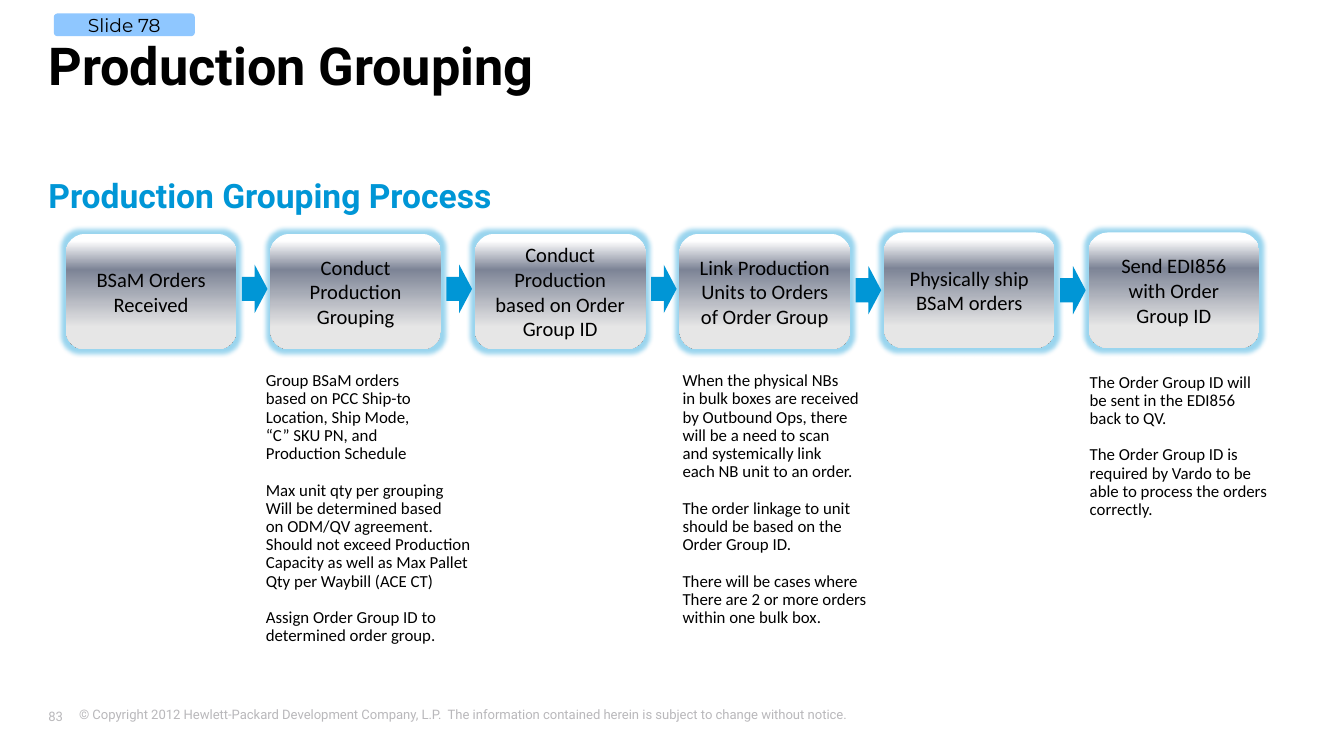
from dataclasses import dataclass

from lxml.etree import SubElement
from pptx import Presentation
from pptx.dml.color import RGBColor
from pptx.enum.shapes import MSO_SHAPE
from pptx.enum.text import MSO_ANCHOR, MSO_AUTO_SIZE, PP_ALIGN
from pptx.oxml.ns import qn
from pptx.shapes.autoshape import Shape
from pptx.slide import Slide
from pptx.util import Inches, Pt

BLACK = RGBColor(0x00, 0x00, 0x00)
BLUE = RGBColor(0x00, 0x96, 0xD6)
TAG_BLUE = RGBColor(0x33, 0x99, 0xFF)
FOOTER_GRAY = RGBColor(0xB9, 0xB8, 0xBB)
WHITE = RGBColor(0xFF, 0xFF, 0xFF)
STEEL = RGBColor(0x7D, 0x84, 0x96)
LIGHT_GRAY = RGBColor(0xE6, 0xE6, 0xE6)
STEP_GRADIENT = [(6, WHITE), (31, STEEL), (81, LIGHT_GRAY), (100, LIGHT_GRAY)]

FIRST_STEP_LEFT, LAST_STEP_LEFT = 0.49, 8.1
STEP_WIDTH, STEP_HEIGHT = 1.27, 0.86
ARROW_OFFSET = 1.31


@dataclass
class Label:
    text: str
    left: float
    top: float
    width: float
    height: float
    size: float
    color: RGBColor
    bold: bool = False
    margins: tuple[float, float] = (0, 0)  # horizontal, vertical


@dataclass
class Step:
    text: str
    top: float
    arrow_top: float | None = None


@dataclass
class Note:
    left: float
    top: float
    width: float
    height: float
    groups: list[list[str]]


LABELS = [
    Label("© Copyright 2012 Hewlett-Packard Development Company, L.P.  The information "
          "contained herein is subject to change without notice.",
          0.49, 5.21, 8.76, 0.25, 7, FOOTER_GRAY, margins=(0.1, 0.05)),
    Label("83", 0.36, 5.27, 0.35, 0.16, 7, FOOTER_GRAY),
    Label("Production Grouping", 0.36, 0.25, 8.88, 0.47, 28, BLACK, True),
    Label("Production Grouping Process", 0.36, 1.3, 8.88, 3.53, 18, BLUE, True),
]

STEPS = [
    Step("BSaM Orders Received", 1.74, 1.97),
    Step("Conduct Production Grouping", 1.74, 1.97),
    Step("Conduct Production based on Order Group ID", 1.74, 1.97),
    Step("Link Production Units to Orders of Order Group", 1.74, 1.97),
    Step("Physically ship BSaM orders", 1.73, 1.98),
    Step("Send EDI856 with Order Group ID", 1.73),
]
STEPS[3].arrow_top = STEPS[4].arrow_top

NOTES = [
    Note(1.88, 2.72, 1.77, 2.15, [
        ["Group BSaM orders", "based on PCC Ship-to", "Location, Ship Mode,",
         "“C” SKU PN, and", "Production Schedule"],
        ["Max unit qty per grouping", "Will be determined based",
         "on ODM/QV agreement.", "Should not exceed Production",
         "Capacity as well as Max Pallet", "Qty per Waybill (ACE CT)"],
        ["Assign Order Group ID to", "determined order group."],
    ]),
    Note(8.01, 2.73, 1.54, 1.19, [
        ["The Order Group ID will", "be sent in the EDI856", "back to QV."],
        ["The Order Group ID is", "required by Vardo to be",
         "able to process the orders", "correctly."],
    ]),
    Note(4.98, 2.72, 1.59, 2.15, [
        ["When the physical NBs", "in bulk boxes are received",
         "by Outbound Ops, there", "will be a need to scan",
         "and systemically link", "each NB unit to an order."],
        ["The order linkage to unit", "should be based on the", "Order Group ID."],
        ["There will be cases where", "There are 2 or more orders",
         "within one bulk box."],
    ]),
]


def add_label(slide: Slide, label: Label) -> None:
    box = slide.shapes.add_textbox(Inches(label.left), Inches(label.top),
                                   Inches(label.width), Inches(label.height))
    frame = box.text_frame
    frame.word_wrap = True
    horizontal, vertical = label.margins
    frame.margin_left = frame.margin_right = Inches(horizontal)
    frame.margin_top = frame.margin_bottom = Inches(vertical)
    paragraph = frame.paragraphs[0]
    paragraph.text = label.text
    paragraph.font.name = "Roboto"
    paragraph.font.size = Pt(label.size)
    paragraph.font.bold = label.bold
    paragraph.font.color.rgb = label.color


def add_block(slide: Slide, kind: MSO_SHAPE, left: float, top: float,
              width: float, height: float) -> Shape:
    shape = slide.shapes.add_shape(kind, Inches(left), Inches(top),
                                   Inches(width), Inches(height))
    shape.shadow.inherit = False
    shape.line.fill.background()
    return shape


def set_solid_fill(shape: Shape, color: RGBColor) -> None:
    shape.fill.solid()
    shape.fill.fore_color.rgb = color


def write_centered(shape: Shape, text: str, font_name: str, size: float) -> None:
    frame = shape.text_frame
    frame.word_wrap = True
    frame.vertical_anchor = MSO_ANCHOR.MIDDLE
    paragraph = frame.paragraphs[0]
    paragraph.text = text
    paragraph.alignment = PP_ALIGN.CENTER
    paragraph.font.name = font_name
    paragraph.font.size = Pt(size)
    paragraph.font.color.rgb = BLACK


def set_step_gradient(shape: Shape) -> None:
    shape.fill.gradient()
    shape.fill.gradient_angle = 270
    stops = shape._element.spPr.find(qn("a:gradFill")).find(qn("a:gsLst"))
    for stop in list(stops):
        stops.remove(stop)
    for percent, color in STEP_GRADIENT:
        stop = SubElement(stops, qn("a:gs"), pos=str(percent * 1000))
        SubElement(stop, qn("a:srgbClr"), val=str(color))


def add_glow(shape: Shape) -> None:
    effects = shape._element.spPr.find(qn("a:effectLst"))
    glow = SubElement(effects, qn("a:glow"), rad=str(Pt(5)))
    color = SubElement(glow, qn("a:srgbClr"), val=str(BLUE))
    SubElement(color, qn("a:alpha"), val="40000")


def add_step(slide: Slide, step: Step, left: float) -> None:
    box = add_block(slide, MSO_SHAPE.ROUNDED_RECTANGLE, left, step.top,
                    STEP_WIDTH, STEP_HEIGHT)
    set_step_gradient(box)
    add_glow(box)
    write_centered(box, step.text, "Calibri", 11)
    if step.arrow_top is not None:
        arrow = add_block(slide, MSO_SHAPE.RIGHT_ARROW, left + ARROW_OFFSET,
                          step.arrow_top, 0.19, 0.36)
        set_solid_fill(arrow, BLUE)


def add_note(slide: Slide, note: Note) -> None:
    box = slide.shapes.add_textbox(Inches(note.left), Inches(note.top),
                                   Inches(note.width), Inches(note.height))
    frame = box.text_frame
    frame.word_wrap = False
    frame.auto_size = MSO_AUTO_SIZE.SHAPE_TO_FIT_TEXT
    lines = [(line, group) for group in note.groups for line in group]
    for index, (line, group) in enumerate(lines):
        paragraph = frame.add_paragraph() if index else frame.paragraphs[0]
        paragraph.text = line
        paragraph.line_spacing = 0.9
        if line == group[-1] and group is not note.groups[-1]:
            paragraph.space_after = Pt(9.8)
        paragraph.font.name = "Calibri"
        paragraph.font.size = Pt(9)
        paragraph.font.color.rgb = BLACK


def add_slide_tag(slide: Slide) -> None:
    tag = add_block(slide, MSO_SHAPE.ROUNDED_RECTANGLE, 0.4, 0.1, 1.05, 0.17)
    set_solid_fill(tag, TAG_BLUE)
    color = tag._element.spPr.find(qn("a:solidFill")).find(qn("a:srgbClr"))
    SubElement(color, qn("a:alpha"), val="55000")
    write_centered(tag, "Slide 78", "Montserrat", 10)


def main() -> None:
    presentation = Presentation()
    presentation.slide_width = Inches(10)
    presentation.slide_height = Inches(10 * 9 / 16)
    slide = presentation.slides.add_slide(presentation.slide_layouts[6])

    # Footer, title and heading
    for label in LABELS:
        add_label(slide, label)

    # Process chain
    step_pitch = (LAST_STEP_LEFT - FIRST_STEP_LEFT) / (len(STEPS) - 1)
    for index, step in enumerate(STEPS):
        add_step(slide, step, FIRST_STEP_LEFT + index * step_pitch)

    # Notes under the steps
    for note in NOTES:
        add_note(slide, note)

    add_slide_tag(slide)
    presentation.save("out.pptx")


if __name__ == "__main__":
    main()
